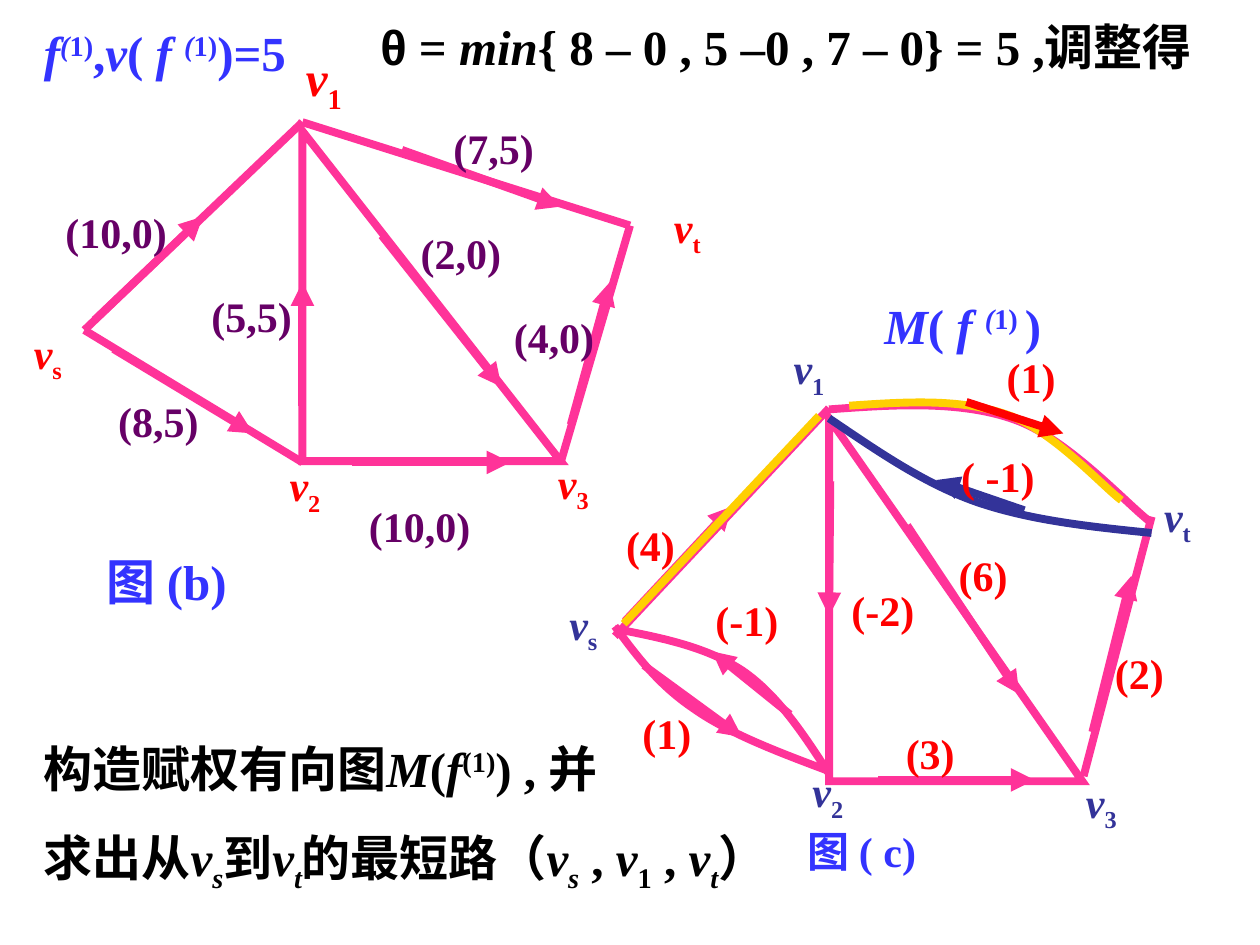
from lxml.etree import SubElement
from pptx import Presentation
from pptx.dml.color import RGBColor
from pptx.enum.shapes import MSO_CONNECTOR, MSO_SHAPE
from pptx.enum.text import MSO_AUTO_SIZE, PP_ALIGN
from pptx.oxml.ns import qn
from pptx.util import Pt

PX = 9144  # one px is a hundredth of an inch
PINK, GOLD, NAVY, RED = "FF3399", "FFCF01", "333399", "FF0000"
BLUE, PLUM, BLACK = "3333FF", "660066", "000000"
SERIF, SANS, HAN = "Times New Roman", "Arial", "Noto Sans CJK SC"
SUP, SUB = 30000, -25000


def paint(fmt, color):
    fmt.rgb = RGBColor.from_string(color)


def stroke(shape, color, arrow=False):
    shape.line.width = Pt(4.5)
    shape.line.fill.solid()
    paint(shape.line.color, color)
    line = shape.line._ln
    SubElement(line, qn("a:miter"), lim="800000")
    if arrow:
        SubElement(line, qn("a:tailEnd"), type="triangle")


def edge(slide, ends, color=PINK, arrow=False):
    wire = slide.shapes.add_connector(
        MSO_CONNECTOR.STRAIGHT, *[n * PX for n in ends])
    stroke(wire, color, arrow)
    SubElement(wire._element.spPr, qn("a:effectLst"))


def outline(shape, color):
    shape.shadow.inherit = False
    shape.fill.background()
    stroke(shape, color)


def wedge(slide, x, y, w, h):
    outline(slide.shapes.add_shape(
        MSO_SHAPE.RIGHT_TRIANGLE, x * PX, y * PX, w * PX, h * PX), PINK)


def curve(slide, knots, color):
    """Draw joined cubic curves: a start, then three points for each piece."""
    pen = slide.shapes.build_freeform(*knots[0], scale=PX)
    pen.add_line_segments(knots[1:], close=False)
    shape = pen.convert_to_shape()
    # Turn each three straight legs into one cubic piece
    legs = list(shape._element.iter(qn("a:lnTo")))
    for k in range(0, len(legs), 3):
        bend = SubElement(legs[k].getparent(), qn("a:cubicBezTo"))
        for leg in legs[k:k + 3]:
            bend.append(leg[0])
            leg.getparent().remove(leg)
    outline(shape, color)


def write(para, runs, size, color):
    """Add runs given as (text, italic, baseline, font), the last three optional."""
    for words, *rest in runs:
        italic, base, face = rest + [False, 0, SERIF][len(rest):]
        run = para.add_run()
        run.text = words
        font = run.font
        font.size, font.name = Pt(size), face
        font.bold, font.italic = True, italic
        paint(font.color, color)
        props = font._element
        if base:
            props.set("baseline", str(base))
        SubElement(props, qn("a:ea"), typeface=HAN)


def note(slide, box, lines, size, color, gap, lead=1.0, wrap=True, align=None):
    shape = slide.shapes.add_textbox(*[n * PX for n in box])
    frame = shape.text_frame
    frame.word_wrap = wrap
    frame.auto_size = MSO_AUTO_SIZE.SHAPE_TO_FIT_TEXT
    for n, runs in enumerate(lines):
        para = frame.add_paragraph() if n else frame.paragraphs[0]
        para.space_before, para.line_spacing = Pt(gap), lead
        para.alignment = align
        write(para, runs, size, color)


def weight(slide, words, x, y, w, color):
    note(slide, (x, y, w, 42), [[(words,)]], 24, color, 6, 0.8, False)


def node(slide, sub, x, y, w, color, size=24):
    runs = [("v", True), (sub, False, SUB)]
    note(slide, (x, y, w, size * 7 // 3), [runs], size, color, size * 0.625)


def flow(slide):
    """Figure b: the network with capacity and flow."""
    wedge(slide, 240, 104, 205, 262)
    for ends in ((445, 367, 500, 179), (240, 97, 500, 179),
                 (240, 97, 67, 262), (67, 262, 240, 367)):
        edge(slide, ends)
    for ends in ((75, 254, 161, 172), (90, 277, 201, 344),
                 (279, 367, 405, 367), (453, 337, 484, 224),
                 (240, 322, 240, 224), (319, 119, 445, 164),
                 (303, 187, 398, 307)):
        edge(slide, ends, arrow=True)
    for words, x, y, w in (
            ("(8,5)", 84, 317, 84), ("(10,0)", 283, 400, 101),
            ("(4,0)", 398, 250, 84), ("(2,0)", 324, 183, 84),
            ("(7,5)", 350, 100, 84), ("(10,0)", 42, 167, 101),
            ("(5,5)", 158, 233, 84)):
        weight(slide, words, x, y, w, PLUM)
    node(slide, "1", 233, 33, 92, RED, 28)
    for sub, x, y, w in (("s", 17, 255, 58), ("2", 220, 360, 67),
                         ("3", 433, 358, 58), ("t", 525, 155, 92)):
        node(slide, sub, x, y, w, RED)


def rest(slide):
    """Figure c: the weighted graph with its shortest path."""
    edge(slide, (813, 405, 743, 381), NAVY, True)
    edge(slide, (860, 616, 914, 410))
    curve(slide, [(658, 325), (711, 321), (763, 318), (805, 333),
                  (848, 348), (896, 402), (914, 415)], PINK)
    curve(slide, [(674, 322), (718, 319), (762, 316), (799, 329),
                  (835, 341), (875, 386), (890, 397)], GOLD)
    wedge(slide, 658, 332, 201, 288)
    edge(slide, (658, 324, 488, 505))
    curve(slide, [(488, 499), (524, 506), (560, 513), (589, 532),
                  (617, 551), (638, 583), (658, 614)], PINK)
    curve(slide, [(488, 497), (505, 520), (522, 543), (550, 562),
                  (578, 582), (618, 597), (658, 612)], PINK)
    for ends in ((511, 528, 589, 585), (496, 493, 581, 402),
                 (697, 619, 821, 619), (867, 581, 898, 457),
                 (659, 382, 658, 489), (720, 417, 809, 551),
                 (627, 567, 565, 517)):
        edge(slide, ends, arrow=True)
    curve(slide, [(658, 332), (695, 357), (732, 383), (774, 398),
                  (817, 413), (865, 418), (914, 423)], NAVY)
    edge(slide, (650, 330, 495, 495), GOLD)
    edge(slide, (767, 319, 844, 344), RED, True)
    for words, x, y, w in (
            ("(2)", 875, 517, 59), ("( -1)", 753, 360, 79),
            ("(1)", 500, 564, 59), ("(3)", 709, 580, 59),
            ("(6)", 751, 439, 59), ("(1)", 789, 282, 59),
            ("(4)", 487, 415, 59), ("(-2)", 666, 467, 70),
            ("(-1)", 558, 475, 70)):
        weight(slide, words, x, y, w, RED)
    for sub, x, y in (("1", 620, 267), ("3", 852, 611), ("s", 442, 470),
                      ("2", 635, 603), ("t", 914, 384)):
        node(slide, sub, x, y, 70, NAVY)


def prose(slide):
    """Headings, captions and the closing text."""
    note(slide, (25, 8, 225, 61), [[
        ("f", True), ("(", True, SUP), ("1)", False, SUP), (",",),
        ("v", True), ("( ",), ("f ", True), ("(", True, SUP),
        ("1)", False, SUP), (")=5",)]], 28, BLUE, 7, 1.1)
    note(slide, (692, 225, 183, 61), [[
        ("M", True), ("( ",), ("f ", True), ("(", True, SUP),
        ("1) ", False, SUP), (")",)]], 28, BLUE, 7, 1.1)
    note(slide, (75, 442, 225, 47), [[("图 (b)",)]], 28, BLUE, 7, 0.8)
    note(slide, (631, 658, 152, 42), [[("图 ( c)",)]], 24, BLUE, 6, 0.8)
    note(slide, (292, 8, 683, 57), [[
        ("θ", False, 0, SANS), (" = ",), ("min", True),
        ("{ 8 – 0 , 5 –0 , 7 – 0} = 5 ,调整得",)]], 28, BLACK, 17.5)
    first = [("构造赋权有向图", False, 0, HAN), ("M", True), ("(",),
             ("f", True), ("(1)", False, SUP), (") , 并",)]
    vs, vt = [[("v", True), (sub, True, SUB)] for sub in "st"]
    then = [("求出从", False, 0, HAN), *vs, ("到", False, 0, HAN), *vt,
            ("的最短路", False, 0, HAN), ("（",), *vs, (" , ",),
            ("v", True), ("1", False, SUB), (" , ",), *vt, ("）",)]
    note(slide, (25, 581, 716, 134), [first, then], 28, BLACK, 17.5,
         align=PP_ALIGN.JUSTIFY)


def main():
    deck = Presentation()
    deck.slide_width, deck.slide_height = 1000 * PX, 750 * PX
    slide = deck.slides.add_slide(deck.slide_layouts[6])
    flow(slide)
    rest(slide)
    prose(slide)
    deck.save("out.pptx")


if __name__ == "__main__":
    main()
